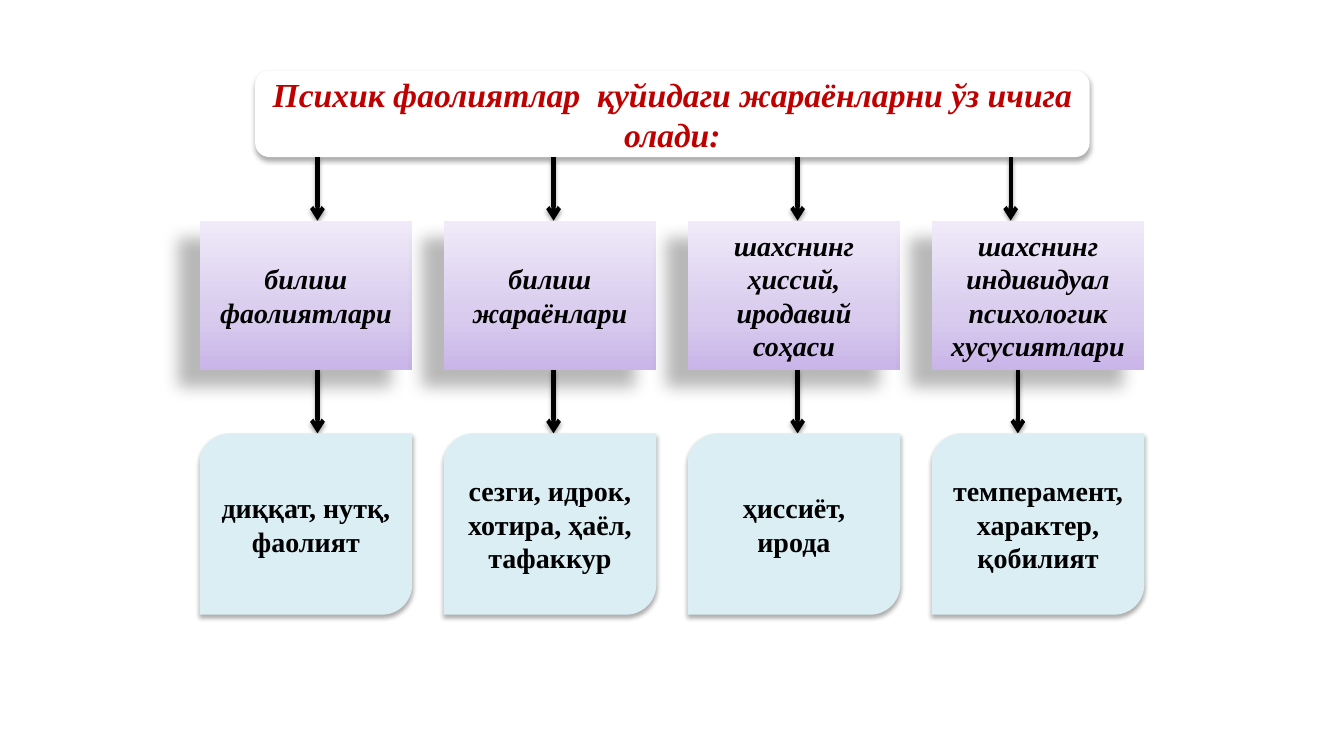
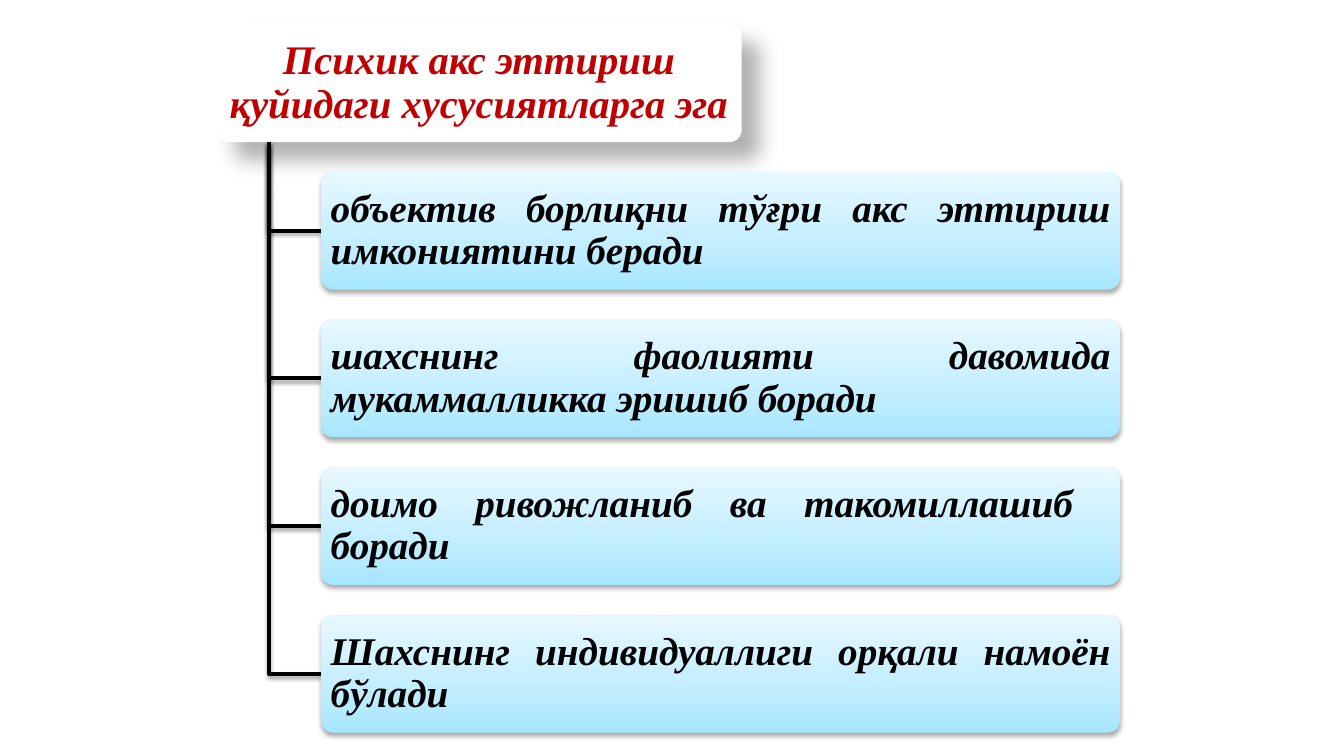
from dataclasses import dataclass

from lxml import etree
from pptx import Presentation
from pptx.dml.color import RGBColor
from pptx.enum.shapes import MSO_CONNECTOR, MSO_SHAPE
from pptx.enum.text import MSO_ANCHOR, PP_ALIGN
from pptx.oxml.ns import qn
from pptx.util import Cm, Pt

RECT = MSO_SHAPE.RECTANGLE
ROUNDED = MSO_SHAPE.ROUNDED_RECTANGLE
DIAGONAL = MSO_SHAPE.ROUND_2_DIAG_RECTANGLE
STRAIGHT = MSO_CONNECTOR.STRAIGHT
MIDDLE = MSO_ANCHOR.MIDDLE
CENTER = PP_ALIGN.CENTER
JUSTIFY = PP_ALIGN.JUSTIFY


@dataclass(frozen=True)
class Shadow:
    opacity: int
    blur: float
    distance: float
    angle: int


@dataclass(frozen=True)
class Theme:
    font: str = "Times New Roman"
    title: str = "C00000"
    ink: str = "000000"
    white: str = "FFFFFF"
    leaf: str = "DBEEF4"
    violet: tuple[str, ...] = ("C9B5E8", "D8CBEE", "F0EAF9")
    sky: tuple[str, ...] = ("A7E6FF", "C1EDFF", "E7F8FF")
    gradient_stops: tuple[int, ...] = (0, 35, 100)
    title_size: int = 24
    card_size: int = 20
    heading_size: int = 29
    item_size: int = 28
    line_width: int = 3
    soft: Shadow = Shadow(32, 3.5, 2.2, 90)
    line_shadow: Shadow = Shadow(35, 3.1, 1.8, 90)
    card_shadow: Shadow = Shadow(28, 11.8, 19.7, 141)
    heading_shadow: Shadow = Shadow(30, 15, 18, 45)


THEME = Theme()


@dataclass(frozen=True)
class BoxStyle:
    preset: int
    fill: str | tuple[str, ...]
    size: int
    color: str = THEME.ink
    shadow: Shadow = THEME.soft
    italic: bool = True
    align: int = CENTER
    corner: float | None = None
    insets: tuple[float, float] = (0.25, 0.13)
    spacing: float = 1.0


@dataclass(frozen=True)
class Branch:
    process: str
    examples: str
    upper_arrow: float
    lower_arrow: float


TITLE = BoxStyle(ROUNDED, THEME.white, THEME.title_size, THEME.title)
PROCESS = BoxStyle(RECT, THEME.violet, THEME.card_size, shadow=THEME.card_shadow)
EXAMPLES = BoxStyle(DIAGONAL, THEME.leaf, THEME.card_size, italic=False)
HEADING = BoxStyle(ROUNDED, THEME.white, THEME.heading_size, THEME.title,
                   THEME.heading_shadow, corner=0.1, insets=(0.15, 0.1), spacing=0.9)
ITEM = BoxStyle(ROUNDED, THEME.sky, THEME.item_size, align=JUSTIFY,
                corner=0.1, insets=(0.15, 0.1), spacing=0.9)

BRANCHES = (
    Branch("билиш фаолиятлари", "диққат, нутқ, фаолият", 8.0, 8.0),
    Branch("билиш жараёнлари", "сезги, идрок, хотира, ҳаёл, тафаккур", 13.95, 13.95),
    Branch("шахснинг ҳиссий, иродавий соҳаси", "ҳиссиёт, ирода", 20.1, 20.1),
    Branch("шахснинг индивидуал психологик хусусиятлари",
           "темперамент, характер, қобилият", 25.47, 25.65),
)
FEATURES = (
    "объектив борлиқни тўғри акс эттириш имкониятини беради",
    "шахснинг фаолияти давомида мукаммалликка эришиб боради",
    "доимо ривожланиб ва такомиллашиб  боради",
    "Шахснинг индивидуаллиги орқали намоён бўлади",
)


def add_color(parent, value: str):
    return etree.SubElement(parent, qn("a:srgbClr"), val=value)


def cast_shadow(target, shadow: Shadow) -> None:
    properties = target._element.spPr
    effects = properties.find(qn("a:effectLst"))
    if effects is None:
        effects = etree.SubElement(properties, qn("a:effectLst"))
    outer = etree.SubElement(
        effects, qn("a:outerShdw"), blurRad=str(int(Pt(shadow.blur))),
        dist=str(int(Pt(shadow.distance))), dir=str(shadow.angle * 60000),
        rotWithShape="0")
    color = add_color(outer, THEME.ink)
    etree.SubElement(color, qn("a:alpha"), val=str(shadow.opacity * 1000))


def fill_box(box, fill: str | tuple[str, ...]) -> None:
    if isinstance(fill, str):
        box.fill.solid()
        box.fill.fore_color.rgb = RGBColor.from_string(fill)
        return
    box.fill.gradient()
    box.fill.gradient_angle = 90
    stops = box._element.spPr.find(qn("a:gradFill")).find(qn("a:gsLst"))
    for default_stop in list(stops):
        stops.remove(default_stop)
    for position, color in zip(THEME.gradient_stops, fill):
        add_color(etree.SubElement(stops, qn("a:gs"), pos=str(position * 1000)), color)


def add_box(slide, text: str, style: BoxStyle, left: float, top: float,
            width: float, height: float) -> None:
    box = slide.shapes.add_shape(style.preset, Cm(left), Cm(top), Cm(width), Cm(height))
    if style.corner is not None:
        box.adjustments[0] = style.corner
    fill_box(box, style.fill)
    box.line.fill.background()
    box.shadow.inherit = False
    cast_shadow(box, style.shadow)

    frame = box.text_frame
    frame.word_wrap = True
    frame.vertical_anchor = MIDDLE
    frame.margin_left = frame.margin_right = Cm(style.insets[0])
    frame.margin_top = frame.margin_bottom = Cm(style.insets[1])
    frame.text = text
    paragraph = frame.paragraphs[0]
    paragraph.alignment = style.align
    paragraph.line_spacing = style.spacing
    font = paragraph.font
    font.name = THEME.font
    font.size = Pt(style.size)
    font.bold = True
    font.italic = style.italic
    font.color.rgb = RGBColor.from_string(style.color)


def draw_line(target) -> None:
    target.line.color.rgb = RGBColor.from_string(THEME.ink)
    target.line.width = Pt(THEME.line_width)


def add_arrow(slide, x: float, top: float, bottom: float) -> None:
    arrow = slide.shapes.add_connector(STRAIGHT, Cm(x), Cm(top), Cm(x), Cm(bottom))
    draw_line(arrow)
    etree.SubElement(arrow.line._get_or_add_ln(), qn("a:tailEnd"), type="arrow")
    cast_shadow(arrow, THEME.line_shadow)


def add_elbow(slide, left: float, top: float, right: float, bottom: float) -> None:
    builder = slide.shapes.build_freeform(Cm(left), Cm(top))
    builder.add_line_segments(
        [(Cm(left), Cm(bottom)), (Cm(right), Cm(bottom))], close=False)
    elbow = builder.convert_to_shape()
    elbow.fill.background()
    draw_line(elbow)
    elbow.shadow.inherit = False
    cast_shadow(elbow, THEME.line_shadow)


def build_processes(slide) -> None:
    title_top, title_height = 1.78, 2.18
    left, width, pitch = 5.03, 5.36, 6.15
    process_height, examples_height, gap = 3.76, 4.57, 1.6
    title_bottom = title_top + title_height
    process_top = title_bottom + gap
    process_bottom = process_top + process_height
    examples_top = process_bottom + gap

    add_box(slide, "Психик фаолиятлар  қуйидаги жараёнларни ўз ичига олади:",
            TITLE, 6.43, title_top, 21.03, title_height)
    for column, branch in enumerate(BRANCHES):
        x = left + column * pitch
        add_arrow(slide, branch.upper_arrow, title_bottom, process_top)
        add_box(slide, branch.process, PROCESS, x, process_top, width, process_height)
        add_arrow(slide, branch.lower_arrow, process_bottom, examples_top)
        add_box(slide, branch.examples, EXAMPLES, x, examples_top, width, examples_height)


def build_features(slide) -> None:
    left, top, heading_width, item_width = 5.46, 0.61, 13.23, 20.12
    height, gap, indent = 2.97, 0.75, 1.32
    trunk = left + indent
    item_left = trunk + indent
    heading_bottom = top + height

    add_box(slide, "Психик акс эттириш қуйидаги хусусиятларга эга",
            HEADING, left, top, heading_width, height)
    for row, feature in enumerate(FEATURES, start=1):
        item_top = top + row * (height + gap)
        add_elbow(slide, trunk, heading_bottom, item_left, item_top + height / 2)
        add_box(slide, feature, ITEM, item_left, item_top, item_width, height)


def main() -> None:
    deck = Presentation()
    deck.slide_width, deck.slide_height = Cm(33.87), Cm(19.05)
    blank = deck.slide_layouts[6]
    for build in (build_processes, build_features):
        build(deck.slides.add_slide(blank))
    deck.save("out.pptx")


if __name__ == "__main__":
    main()
